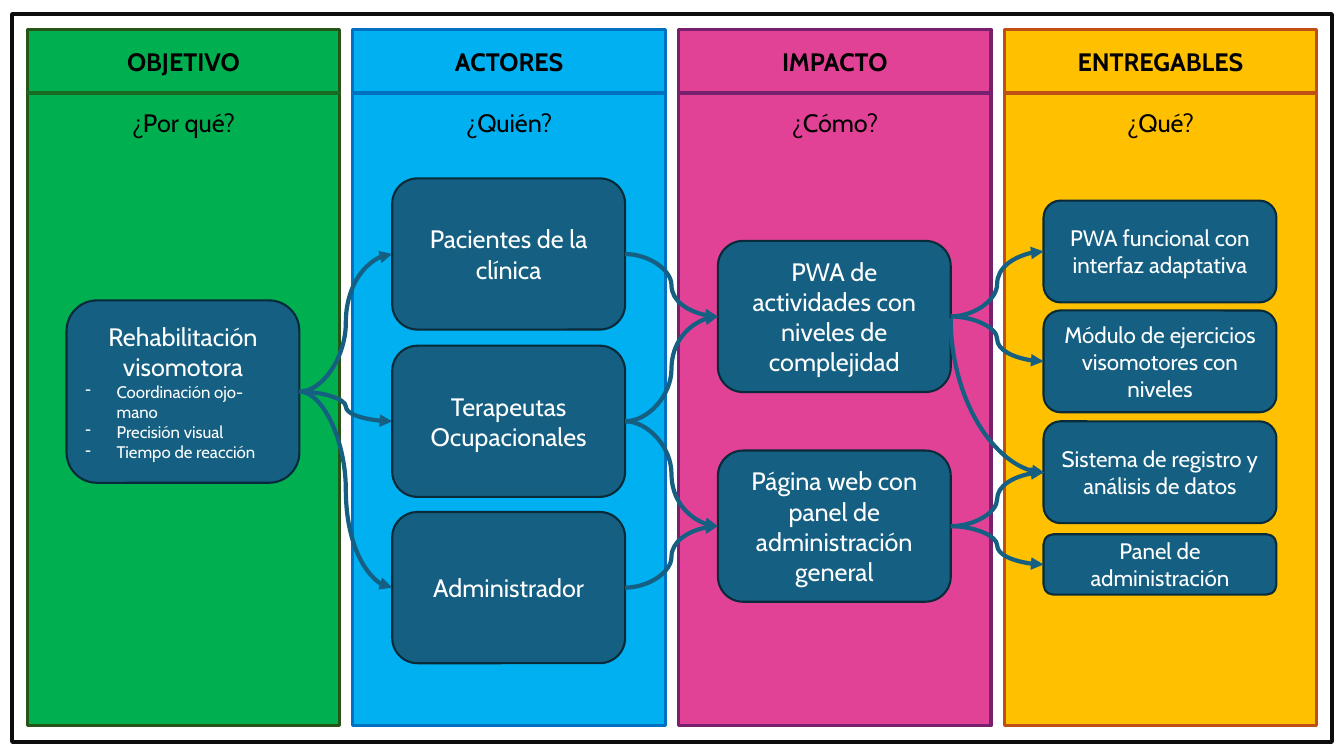
from lxml.etree import SubElement
from pptx import Presentation
from pptx.dml.color import RGBColor
from pptx.enum.shapes import MSO_CONNECTOR, MSO_SHAPE
from pptx.enum.text import MSO_ANCHOR, PP_ALIGN
from pptx.oxml.ns import qn
from pptx.util import Inches, Pt

FONT = "Cabin"
BLUE = "156082"
COLUMN_LEFT, COLUMN_TOP = 0.27, 0.29
COLUMN_WIDTH, COLUMN_HEIGHT = 3.1, 6.91
COLUMN_STEP = 3.23
CARD_INSET, CARD_WIDTH = 0.39, 2.31
LEFT_SITE, RIGHT_SITE = 1, 3

COLUMNS = [
    ("OBJETIVO", "¿Por qué?", "00B050", "275417", "196B24", 18,
     [("Rehabilitación visomotora", 2.98, 1.81)]),
    ("ACTORES", "¿Quién?", "00B0F0", "0070C0", "0070C0", 18,
     [("Pacientes de la clínica", 1.77, 1.5),
      ("Terapeutas Ocupacionales", 3.43, 1.5),
      ("Administrador", 5.08, 1.5)]),
    ("IMPACTO", "¿Cómo?", "E24296", "78206E", "78206E", 18,
     [("PWA de actividades con niveles de complejidad", 2.39, 1.5),
      ("Página web con panel de administración general", 4.47, 1.5)]),
    ("ENTREGABLES", "¿Qué?", "FFC000", "C04F15", "C04F15", 16,
     [("PWA funcional con interfaz adaptativa", 1.99, 1.01),
      ("Módulo de ejercicios visomotores con niveles", 3.08, 1.01),
      ("Sistema de registro y análisis de datos", 4.18, 1.01),
      ("Panel de administración", 5.3, 0.6)]),
]
GOALS = ["Coordinación ojo-mano", "Precisión visual", "Tiempo de reacción"]
LINKS = [
    ((0, 0), (1, 0)), ((0, 0), (1, 1)), ((0, 0), (1, 2)),
    ((1, 0), (2, 0)), ((1, 1), (2, 0)), ((1, 1), (2, 1)), ((1, 2), (2, 1)),
    ((2, 0), (3, 0)), ((2, 0), (3, 1)), ((2, 1), (3, 2)), ((2, 1), (3, 3)),
]


def color(value):
    return RGBColor.from_string(value)


def add_box(slide, kind, left, top, width, height, fill, line, weight):
    shape = slide.shapes.add_shape(
        kind, Inches(left), Inches(top), Inches(width), Inches(height))
    shape.shadow.inherit = False
    if fill:
        shape.fill.solid()
        shape.fill.fore_color.rgb = color(fill)
    else:
        shape.fill.background()
    shape.line.color.rgb = color(line)
    shape.line.width = Pt(weight)
    return shape


def write(paragraph, text, size, ink, bold=False, align=PP_ALIGN.CENTER):
    paragraph.text = text
    paragraph.alignment = align
    paragraph.font.name = FONT
    paragraph.font.size = Pt(size)
    paragraph.font.bold = bold
    paragraph.font.color.rgb = color(ink)


def add_line(slide, kind, start, end, line):
    connector = slide.shapes.add_connector(
        kind, *[Inches(value) for value in (*start, *end)])
    connector.line.color.rgb = color(line)
    connector.line.width = Pt(3)
    SubElement(connector._element.spPr, qn("a:effectLst"))
    return connector


def add_arrow(slide, start, end):
    arrow = add_line(slide, MSO_CONNECTOR.CURVE, start, end, BLUE)
    SubElement(arrow.line._get_or_add_ln(), qn("a:tailEnd"), type="triangle")
    return arrow


def add_column(slide, left, top, width, height, title, question, fill, line, rule):
    add_box(slide, MSO_SHAPE.RECTANGLE, left, top, width, height, fill, line, 2.25)
    rule_top = top + 0.63
    add_line(slide, MSO_CONNECTOR.STRAIGHT, (left, rule_top), (left + width, rule_top), rule)
    heading = slide.shapes.add_textbox(
        Inches(left), Inches(top + 0.12), Inches(width), Inches(1.01))
    frame = heading.text_frame
    frame.word_wrap = True
    write(frame.paragraphs[0], title, 18, "000000", bold=True)
    paragraph = frame.add_paragraph()
    write(paragraph, question, 18, "000000")
    paragraph.space_before = Pt(22)


def add_card(slide, left, top, width, height, text, size):
    card = add_box(slide, MSO_SHAPE.ROUNDED_RECTANGLE,
                   left, top, width, height, BLUE, "092A39", 1.5)
    card.text_frame.word_wrap = True
    card.text_frame.vertical_anchor = MSO_ANCHOR.MIDDLE
    write(card.text_frame.paragraphs[0], text, size, "FFFFFF")
    return card


def add_goals(card, goals):
    for goal in goals:
        paragraph = card.text_frame.add_paragraph()
        write(paragraph, goal, 12, "FFFFFF", align=PP_ALIGN.LEFT)
        properties = paragraph._p.get_or_add_pPr()
        properties.set("marL", str(Inches(0.31)))
        properties.set("indent", str(-Inches(0.31)))
        bullet = properties.makeelement(qn("a:buChar"), {"char": "-"})
        properties.find(qn("a:defRPr")).addprevious(bullet)


def link_cards(slide, source, target):
    arrow = add_arrow(slide, (0, 0), (1, 1))
    arrow.begin_connect(source, RIGHT_SITE)
    arrow.end_connect(target, LEFT_SITE)


def add_drop_arrow(slide, left, top, width, height):
    center_x, center_y = left + width / 2, top + height / 2
    arrow = add_arrow(slide,
                      (center_x + height / 2, center_y - width / 2),
                      (center_x - height / 2, center_y + width / 2))
    properties = arrow._element.spPr
    properties.find(qn("a:xfrm")).set("rot", str(270 * 60000))
    properties.find(qn("a:prstGeom")).set("prst", "curvedConnector2")


def build_impact_map(slide):
    add_box(slide, MSO_SHAPE.RECTANGLE, 0.12, 0.14, 13.09, 7.22, None, "0D0D0D", 3)
    cards = {}
    for index, (title, question, fill, line, rule, size, items) in enumerate(COLUMNS):
        left = COLUMN_LEFT + index * COLUMN_STEP
        add_column(slide, left, COLUMN_TOP, COLUMN_WIDTH, COLUMN_HEIGHT,
                   title, question, fill, line, rule)
        for row, (text, top, height) in enumerate(items):
            cards[index, row] = add_card(
                slide, left + CARD_INSET, top, CARD_WIDTH, height, text, size)
    add_goals(cards[0, 0], GOALS)
    for source, target in LINKS:
        link_cards(slide, cards[source], cards[target])
    add_drop_arrow(slide, 9.43, 3.16, 0.93, 1.53)


def main():
    presentation = Presentation()
    presentation.slide_width = Inches(13.33)
    presentation.slide_height = Inches(7.5)
    slide = presentation.slides.add_slide(presentation.slide_layouts[6])
    build_impact_map(slide)
    presentation.save("out.pptx")


if __name__ == "__main__":
    main()
